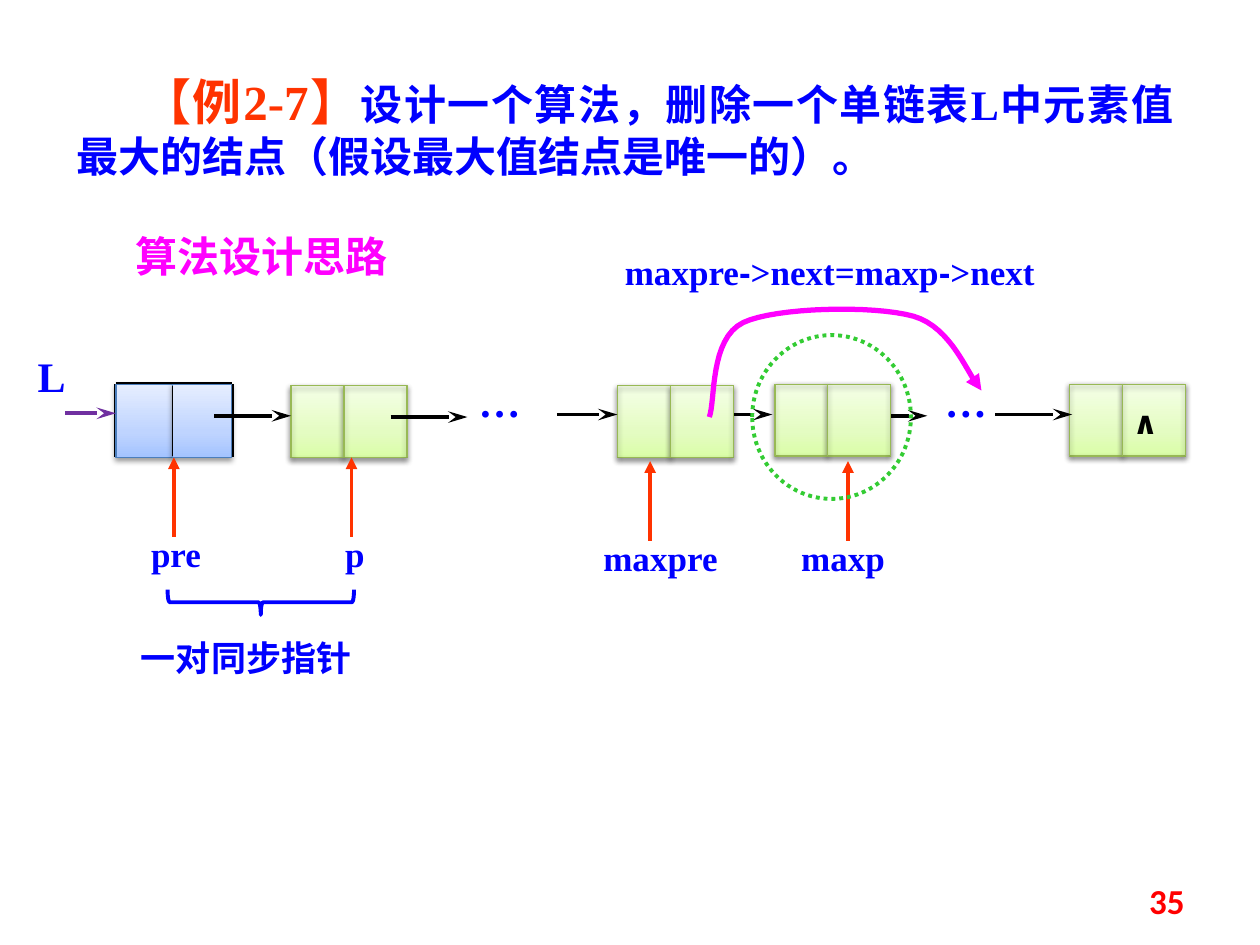
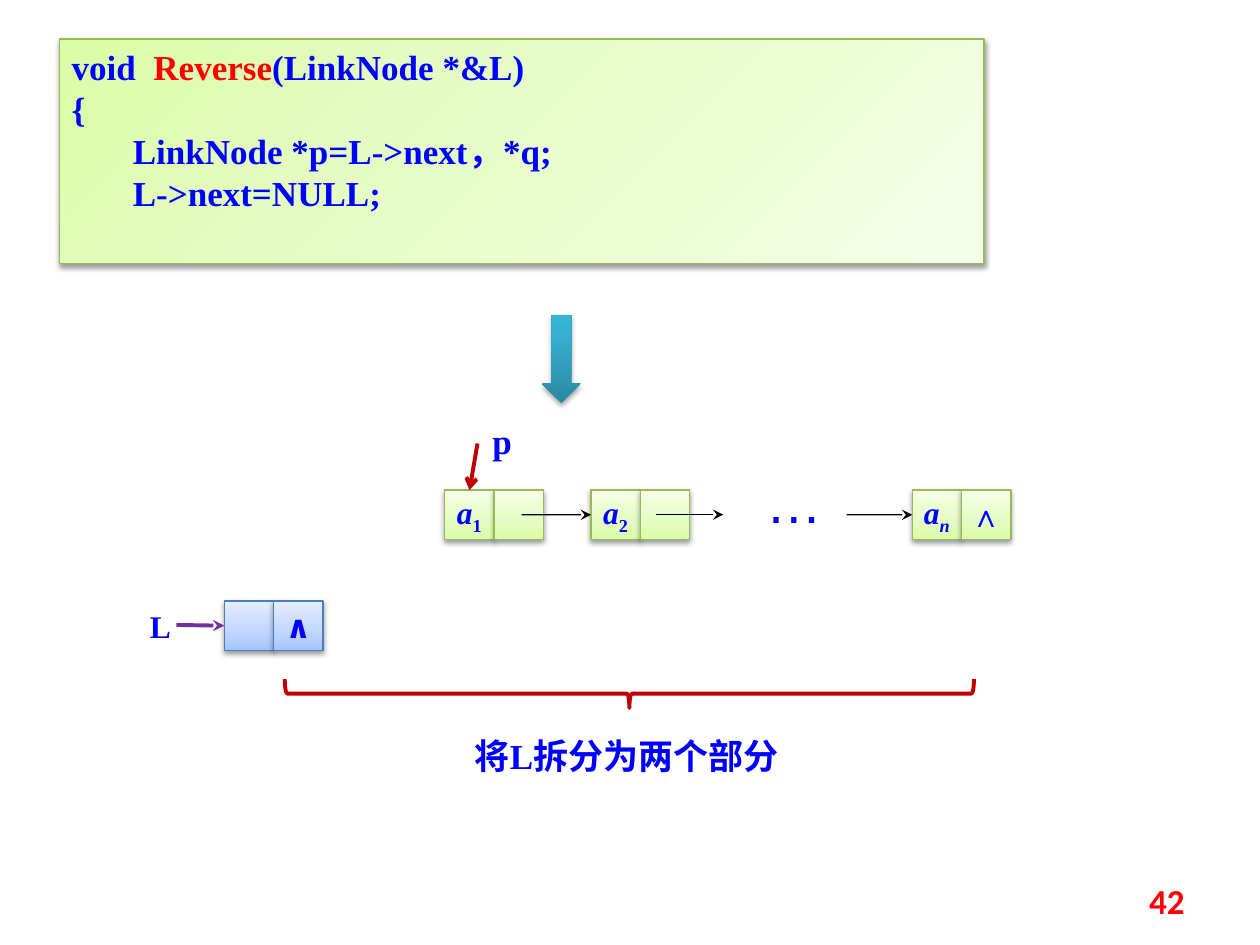
from dataclasses import dataclass
from typing import NamedTuple

from pptx import Presentation
from pptx import util as u
from pptx.dml.color import RGBColor
from pptx.enum import dml, shapes, text
from pptx.oxml import parse_xml
from pptx.oxml.ns import nsdecls, qn

GRID = u.Inches(0.1)
COLUMNS, ROWS = 100, 75
TIMES, MATH, HAN = "Times New Roman", "DejaVu Sans", "Noto Sans CJK SC"
LEFT, CENTER, RIGHT, JUSTIFY = (
    text.PP_ALIGN.LEFT, text.PP_ALIGN.CENTER, text.PP_ALIGN.RIGHT, text.PP_ALIGN.JUSTIFY)
COLORS = {
    "blue": "0000FF", "orange": "FF3300", "magenta": "FF00FF", "red": "FF0000",
    "black": "000000", "purple": "7030A0", "crimson": "C00000", "green": "33CC33",
    "moss": "98B955", "steel": "4B7EBC",
}


class Palette(NamedTuple):
    stops: tuple
    line: str | None


GREEN = Palette(((0, "DAFDA7"), (35, "E4FCC2"), (100, "F5FFE7")), "moss")
BLUE = Palette(((0, "A4C4FF"), (35, "BFD4FF"), (100, "E6EEFF")), "steel")
TEAL = Palette(((0, "2A88A2"), (80, "37B1D2"), (100, "34B4D6")), None)


@dataclass
class Node:
    left: float
    top: float
    widths: tuple = (4.2, 5.0)
    height: float = 5.7
    palette: Palette = GREEN

    @property
    def edges(self) -> tuple:
        return self.left, self.left + self.widths[0], self.left + sum(self.widths)


@dataclass
class Arrow:
    start: tuple
    end: tuple
    color: str = "black"
    width: float = 2.25
    head: str | None = "stealth"
    length: str = "med"


@dataclass
class Label:
    box: tuple
    words: str
    size: float = 20
    font: str = TIMES
    color: str = "blue"
    bold: bool = True


def span(cells: float) -> u.Emu:
    return u.Emu(round(cells * GRID))


def spans(cells: tuple) -> list:
    return [span(cell) for cell in cells]


def rgb(name: str) -> RGBColor:
    return RGBColor.from_string(COLORS[name])


def write(paragraph, words: str, *, size: float = 20, font: str = TIMES, color: str = "blue",
          bold: bool = True, italic: bool = False, baseline: int = 0) -> None:
    run = paragraph.add_run()
    run.text = words
    run.font.size, run.font.name = u.Pt(size), font
    run.font.bold, run.font.italic = bold, italic
    run.font.color.rgb = rgb(color)
    properties = run._r.get_or_add_rPr()
    if baseline:
        properties.set("baseline", str(baseline * 1000))
    han = any(ord(letter) >= 0x3000 for letter in words)
    face = parse_xml(f'<a:ea {nsdecls("a")} typeface="{HAN if han else font}"/>')
    properties.find(qn("a:latin")).addnext(face)


def add_box(slide, box: tuple, align=LEFT, inset: bool = True):
    shape = slide.shapes.add_textbox(*spans(box))
    frame = shape.text_frame
    frame.word_wrap = True
    if not inset:
        frame.margin_left = frame.margin_right = frame.margin_top = frame.margin_bottom = 0
    frame.paragraphs[0].alignment = align
    return frame


def add_label(slide, label: Label, align=LEFT) -> None:
    write(add_box(slide, label.box, align).paragraphs[0], label.words, size=label.size,
          font=label.font, color=label.color, bold=label.bold)


def set_effects(shape, shadowed: bool = False) -> None:
    shadow = (f'<a:outerShdw blurRad="{u.Pt(3.1)}" dist="{u.Pt(1.6)}" dir="5400000" rotWithShape="0">'
              '<a:srgbClr val="000000"><a:alpha val="38000"/></a:srgbClr></a:outerShdw>')
    shape._element.spPr.append(parse_xml(
        f'<a:effectLst {nsdecls("a")}>{shadow if shadowed else ""}</a:effectLst>'))


def set_line(shape, color: str, width: float, head: str | None = None, length: str = "med") -> None:
    shape.line.color.rgb = rgb(color)
    shape.line.width = u.Pt(width)
    if head:
        shape.line._get_or_add_ln().append(parse_xml(
            f'<a:tailEnd {nsdecls("a")} type="{head}" w="med" len="{length}"/>'))


def add_outline(slide, kind, box: tuple, color: str, rotation: float = 0):
    shape = slide.shapes.add_shape(kind, *spans(box))
    shape.rotation = rotation
    shape.fill.background()
    set_line(shape, color, 2.25)
    set_effects(shape)
    return shape


def add_block(slide, box: tuple, palette: Palette, angle: int = 270,
              kind=shapes.MSO_SHAPE.RECTANGLE):
    shape = slide.shapes.add_shape(kind, *spans(box))
    shape.fill.gradient()
    stops = "".join(f'<a:gs pos="{place * 1000}"><a:srgbClr val="{color}"/></a:gs>'
                    for place, color in palette.stops)
    properties = shape._element.spPr
    properties.replace(properties.find(qn("a:gradFill")), parse_xml(
        f'<a:gradFill {nsdecls("a")} rotWithShape="1"><a:gsLst>{stops}</a:gsLst>'
        f'<a:lin ang="{angle * 60000}" scaled="0"/></a:gradFill>'))
    if palette.line:
        set_line(shape, palette.line, 0.75)
    else:
        shape.line.fill.background()
    set_effects(shape, shadowed=True)
    return shape


def add_arrow(slide, arrow: Arrow, shadowed: bool = False, target=None, site: int = 1):
    connector = slide.shapes.add_connector(
        shapes.MSO_CONNECTOR.STRAIGHT, *spans(arrow.start + arrow.end))
    set_line(connector, arrow.color, arrow.width, arrow.head, arrow.length)
    set_effects(connector, shadowed)
    if target is not None:
        connector.end_connect(target, site)
    return connector


def add_frame(slide, node: Node, color: str, width: float, rows: tuple, shadowed: bool) -> None:
    left, _, right = node.edges
    bottom = node.top + node.height
    sides = [((left, row), (right, row)) for row in rows]
    sides += [((edge, node.top), (edge, bottom)) for edge in node.edges]
    for start, end in sides:
        add_arrow(slide, Arrow(start, end, color, width, None), shadowed)


def add_cells(slide, node: Node) -> list:
    return [add_block(slide, (left, node.top, width, node.height), node.palette)
            for left, width in zip(node.edges, node.widths)]


def fill_cell(cell, *parts: tuple) -> None:
    frame = cell.text_frame
    frame.word_wrap = False
    frame.vertical_anchor = text.MSO_ANCHOR.MIDDLE
    frame.paragraphs[0].alignment = CENTER
    for words, style in parts:
        write(frame.paragraphs[0], words, size=18, **style)


def add_curve(slide, start: tuple, segments: tuple, steps: int = 16) -> None:
    points, origin = [], start
    for first, second, end in segments:
        for step in range(1, steps + 1):
            t = step / steps
            weights = ((1 - t) ** 3, 3 * t * (1 - t) ** 2, 3 * t * t * (1 - t), t ** 3)
            corners = (origin, first, second, end)
            points.append(tuple(span(sum(w * corner[axis] for w, corner in zip(weights, corners)))
                                for axis in (0, 1)))
        origin = end
    builder = slide.shapes.build_freeform(*spans(start), scale=1.0)
    builder.add_line_segments(points, close=False)
    shape = builder.convert_to_shape()
    shape.fill.background()
    set_line(shape, "magenta", 3, "triangle")
    set_effects(shape)


def add_page_number(slide, number: str) -> None:
    frame = add_box(slide, (71.7, 69.5, 23.3, 4), RIGHT)
    frame.vertical_anchor = text.MSO_ANCHOR.MIDDLE
    write(frame.paragraphs[0], number, font="Calibri", color="red")


def add_example_title(slide) -> None:
    title = slide.shapes.title
    title.left, title.top, title.width, title.height = spans((5.1, 5.2, 89, 9.8))
    frame = title.text_frame
    frame.word_wrap, frame.auto_size = True, text.MSO_AUTO_SIZE.NONE
    frame.vertical_anchor = text.MSO_ANCHOR.TOP
    paragraph = frame.paragraphs[0]
    paragraph.alignment = JUSTIFY
    paragraph._p.get_or_add_pPr().set("indent", str(span(5.2)))
    write(paragraph, "【例2-7】", size=28, color="orange")
    write(paragraph, "设计一个算法，删除一个单链表L中元素值最大的结点（假设最大值结点是唯一的）。", size=24)


def build_delete_max(presentation) -> None:
    slide = presentation.slides.add_slide(presentation.slide_layouts[5])
    add_example_title(slide)

    head = Node(9.2, 30.5, (4.5, 4.7), 5.8, BLUE)
    add_frame(slide, head, "black", 2.25, (head.top,), False)
    add_cells(slide, head)
    middle = head.edges[1]
    add_arrow(slide, Arrow((middle, 30.6), (middle, 36.2), width=0.75, head=None))

    for start, end, row in ((67.5, 73.6, 33), (56.5, 61.3, 32.9)):
        add_arrow(slide, Arrow((start, row), (end, row), length="lg"))
    for left, top in ((84.9, 30.5), (23.1, 30.6), (61.5, 30.5), (49, 30.6)):
        node = Node(left, top)
        add_cells(slide, node)
        add_frame(slide, node, "moss", 0.75, (top, top + node.height), True)
    for start, end, row in ((17, 23.1, 33), (31, 37.1, 33.1), (44.2, 49, 32.9), (79, 85.1, 32.9)):
        add_arrow(slide, Arrow((start, row), (end, row), length="lg"))
    add_arrow(slide, Arrow((5.2, 32.8), (9.2, 32.8), "purple", length="lg"))

    for column, tip in ((67.3, 36.6), (51.6, 36.6), (27.9, 36.3), (13.8, 36.3)):
        add_arrow(slide, Arrow((column, tip + 6.3), (column, tip), "orange", head="triangle"))
    circle = add_outline(slide, shapes.MSO_SHAPE.OVAL, (59.7, 26.6, 12.6, 13), "green")
    circle.line.dash_style = dml.MSO_LINE.ROUND_DOT
    add_curve(slide, (56.3, 33.1), (
        ((56.8, 31.8), (56.3, 26.9), (59, 25.6)),
        ((61.5, 24.4), (69.3, 24.2), (72.5, 25.1)),
        ((75.6, 26), (76.8, 29.8), (77.9, 31))))
    add_outline(slide, shapes.MSO_SHAPE.LEFT_BRACE, (19.7, 40.4, 2, 14.8), "blue", 270)

    for label in (
        Label((2, 27.3, 4.7, 5), "L", 24),
        Label((9.8, 17.8, 30.7, 5), "算法设计思路", 24, HAN, "magenta"),
        Label((37, 29.3, 7.9, 5), "…", 24),
        Label((74, 29.3, 7.9, 5), "…", 24),
        Label((88.9, 31.5, 3.9, 4), "∧", 18, MATH, "black"),
        Label((11, 41.8, 7.1, 4.3), "pre"),
        Label((26.4, 41.8, 4, 4.3), "p"),
        Label((46.9, 42.1, 12.6, 4.3), "maxpre"),
        Label((62.6, 42.1, 9.5, 4.3), "maxp"),
        Label((10.2, 50, 21.1, 4.4), "一对同步指针", font=HAN),
    ):
        add_label(slide, label)
    statement = add_box(slide, (47.4, 19.9, 36.9, 3.4), CENTER, inset=False).paragraphs[0]
    for words, font in (("maxpre", TIMES), ("-", "Arial"), (">next=maxp", TIMES),
                        ("-", "Arial"), (">next", TIMES)):
        write(statement, words, font=font)
    add_page_number(slide, "35")


def add_code(slide) -> None:
    frame = add_block(slide, (4.7, 3.1, 73.4, 17.8), GREEN, angle=45).text_frame
    frame.word_wrap = True
    frame.vertical_anchor = text.MSO_ANCHOR.TOP
    lines = (
        (("void  ", "blue"), ("Reverse", "red"), ("(LinkNode *&L)", "blue")),
        (("{", "blue"),),
        (("       LinkNode *p=L->next，*q;", "blue"),),
        (("       L->next=NULL;", "blue"),),
    )
    for index, line in enumerate(lines):
        paragraph = frame.add_paragraph() if index else frame.paragraphs[0]
        paragraph.alignment = LEFT
        for words, color in line:
            write(paragraph, words, color=color)


def build_reverse(presentation) -> None:
    slide = presentation.slides.add_slide(presentation.slide_layouts[6])
    add_code(slide)

    square = {"widths": (3.92, 3.92), "height": 3.92}
    head = add_cells(slide, Node(17.8, 47.7, palette=BLUE, **square))
    fill_cell(head[1], ("∧", {"font": MATH}))
    nodes = []
    for left, index in ((35.3, "1"), (46.9, "2"), (72.4, "n")):
        cells = add_cells(slide, Node(left, 38.9, **square))
        fill_cell(cells[0], ("a", {"italic": True}),
                  (index, {"italic": index == "n", "baseline": -25}))
        nodes.append(cells)
    first, second, last = nodes
    fill_cell(last[1], ("∧", {}))

    add_arrow(slide, Arrow((14, 49.6), (17.8, 49.6), "purple"), target=head[0])
    add_arrow(slide, Arrow((37.9, 35.2), (37.2, 38.9), "crimson", head="arrow"),
              target=first[0], site=0)
    for start, end, target in ((41.4, 46.9, second[0]), (52.1, 57.4, None), (67.2, 72.4, last[0])):
        add_arrow(slide, Arrow((start, 40.85), (end, 40.85), width=0.75), target=target)

    add_block(slide, (43, 25, 3.1, 7), TEAL, kind=shapes.MSO_SHAPE.DOWN_ARROW)
    add_outline(slide, shapes.MSO_SHAPE.RIGHT_BRACE, (48.8, 27.7, 2.3, 54.7), "crimson", 90)
    add_label(slide, Label((10.9, 47.7, 2.9, 4), "L", 18))
    add_label(slide, Label((59.8, 36.6, 7.9, 6.3), "…", 32, "Arial", bold=False))
    add_label(slide, Label((37.1, 32.8, 5.5, 4.4), "p"), CENTER)
    add_label(slide, Label((36.7, 57.8, 28.9, 4.4), "将L拆分为两个部分"))
    add_page_number(slide, "42")


def main() -> None:
    presentation = Presentation()
    presentation.slide_width, presentation.slide_height = span(COLUMNS), span(ROWS)
    build_delete_max(presentation)
    build_reverse(presentation)
    presentation.save("out.pptx")


if __name__ == "__main__":
    main()
